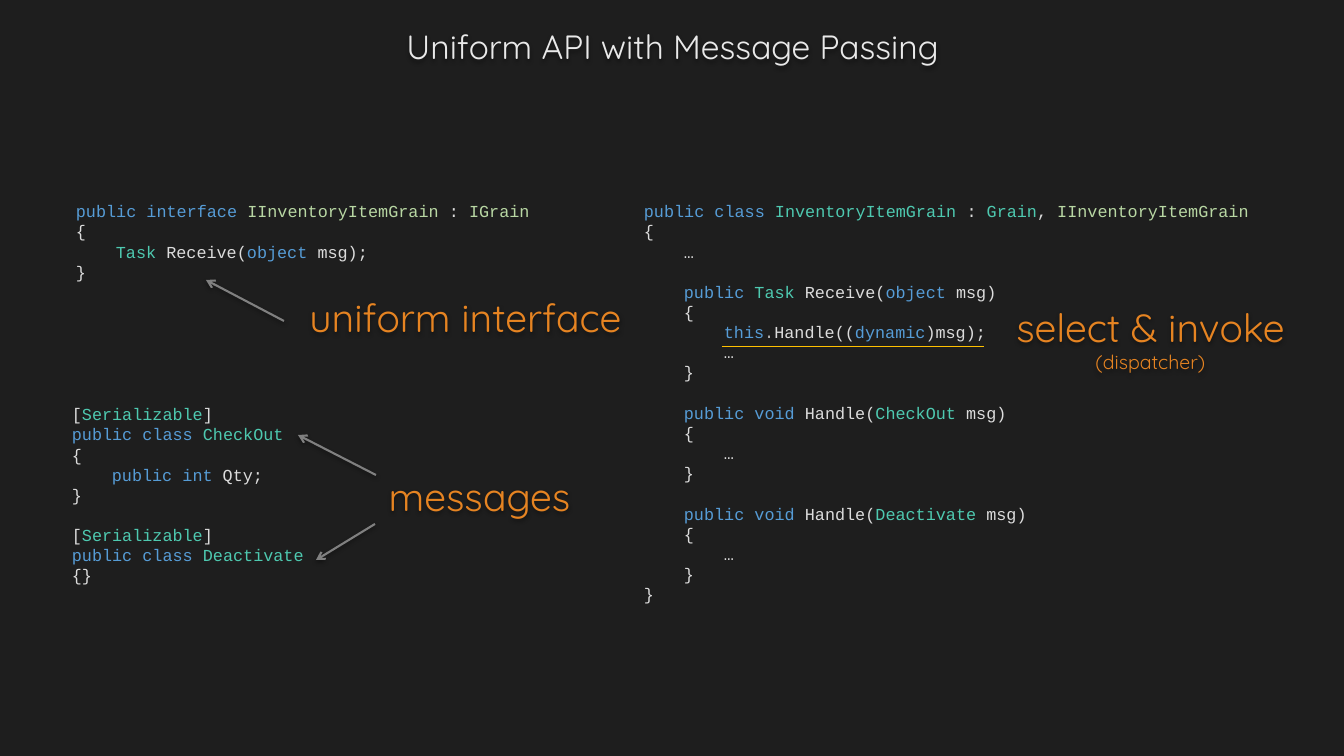
import itertools

import lxml.etree
import pptx
import pptx.dml.color
import pptx.enum.shapes
import pptx.enum.text
import pptx.oxml
import pptx.oxml.ns
import pptx.util

THEME = {
    "back": "1E1E1E", "title": "E9E9E9", "label": "E68422",
    "arrow": "808080", "rule": "FFC000",
    "plain": "DCDCDC", "dot": "B4B4B4", "key": "569CD6",
    "type": "4EC9B0", "iface": "B8D7A3",
    "sans": "Quicksand", "mono": "Courier New",
    "head pt": 24, "label pt": 28, "small pt": 14, "code pt": 12,
    "pitch pt": 14.4, "indent px": 40,
}
KINDS = {
    "key": "public interface class object this dynamic void int",
    "type": "Task Grain InventoryItemGrain Serializable CheckOut Deactivate",
    "iface": "IInventoryItemGrain IGrain",
    "dot": ".",
}
HUES = {word: THEME[kind] for kind, words in KINDS.items() for word in words.split()}
SCALE = 914400 / 100.8
Pt = pptx.util.Pt
Color = pptx.dml.color.RGBColor.from_string
A = "http://schemas.openxmlformats.org/drawingml/2006/main"


def px(*sizes):
    """Turn pixel lengths into EMU."""
    return [round(size * SCALE) for size in sizes]


def shade(shape, soft=True):
    """Give a shape a soft drop shadow, or an empty effect list."""
    list_ = lxml.etree.SubElement(shape._element.spPr, f"{{{A}}}effectLst")
    if soft:
        list_.append(pptx.oxml.parse_xml(
            f'<a:outerShdw xmlns:a="{A}" blurRad="39370" dist="20320" dir="5400000" '
            'rotWithShape="0"><a:srgbClr val="000000"><a:alpha val="38000"/>'
            '</a:srgbClr></a:outerShdw>'))


deck = pptx.Presentation()
deck.slide_width, deck.slide_height = px(1344, 756)
slide = deck.slides.add_slide(deck.slide_layouts[5])
slide.background.fill.solid()
slide.background.fill.fore_color.rgb = Color(THEME["back"])

# Title and orange labels
title = slide.shapes.title
title.left, title.top, title.width, title.height = px(387, 21, 571, 50)
labels = [(title, [("Uniform API with Message Passing", "head pt")], "title")]
for spot, lines in [
    ((375, 467, 209, 57), [("messages", "label pt")]),
    ((995, 298, 311, 82), [("select & invoke", "label pt"), ("(dispatcher)", "small pt")]),
    ((291, 288, 349, 57), [("uniform interface", "label pt")]),
]:
    labels.append((slide.shapes.add_textbox(*px(*spot)), lines, "label"))

for box, lines, hue in labels:
    frame = box.text_frame
    frame.word_wrap = False
    frame.auto_size = pptx.enum.text.MSO_AUTO_SIZE.NONE
    frame.vertical_anchor = pptx.enum.text.MSO_ANCHOR.TOP
    frame.text = "\n".join(text for text, size in lines)
    for para, (text, size) in zip(frame.paragraphs, lines):
        para.alignment = pptx.enum.text.PP_ALIGN.CENTER
        para.font.name = THEME["sans"]
        para.font.size = Pt(THEME[size])
        para.font.color.rgb = Color(THEME[hue])
    shade(box)

# Code listings: depth becomes an indent, an empty line becomes a gap
MESSAGES = """\
[Serializable]
public class CheckOut
{
    public int Qty;
}

[Serializable]
public class Deactivate
{}"""
INTERFACE = """\
public interface IInventoryItemGrain : IGrain
{
    Task Receive(object msg);
}"""
GRAIN = """\
public class InventoryItemGrain : Grain, IInventoryItemGrain
{
    …

    public Task Receive(object msg)
    {
        this.Handle((dynamic)msg);
        …
    }

    public void Handle(CheckOut msg)
    {
        …
    }

    public void Handle(Deactivate msg)
    {
        …
    }
}"""

for spot, code in [
    ((62, 399, 312, 194), MESSAGES),
    ((66, 196, 500, 92), INTERFACE),
    ((634, 196, 643, 417), GRAIN),
]:
    frame = slide.shapes.add_textbox(*px(*spot)).text_frame
    frame.word_wrap = True
    para, gap = frame.paragraphs[0], 0
    for row, line in enumerate(code.splitlines()):
        text = line.lstrip()
        if not text:
            gap = THEME["pitch pt"]
            continue
        if row:
            para = frame.add_paragraph()
        depth = (len(line) - len(text)) // 4
        para._p.get_or_add_pPr().set("marL", str(px(depth * THEME["indent px"])[0]))
        para.line_spacing = Pt(THEME["pitch pt"])
        para.space_before, gap = Pt(gap), 0
        para.font.name = THEME["mono"]
        para.font.size = Pt(THEME["code pt"])
        words = ["".join(part) for _, part in itertools.groupby(text, str.isalpha)]
        for hue, part in itertools.groupby(words, lambda word: HUES.get(word, THEME["plain"])):
            run = para.add_run()
            run.text = "".join(part)
            run.font.color.rgb = Color(hue)

# Arrows point at their first end; the rule underlines the dispatch call
for ends, hue, width in [
    ((298, 435, 376, 475), "arrow", 1.5),
    ((316, 560, 375, 524), "arrow", 1.5),
    ((206, 280, 284, 321), "arrow", 1.5),
    ((722, 347, 984, 347), "rule", 0.75),
]:
    link = slide.shapes.add_connector(pptx.enum.shapes.MSO_CONNECTOR.STRAIGHT, *px(*ends))
    link.line.color.rgb = Color(THEME[hue])
    link.line.width = Pt(width)
    if hue == "arrow":
        lxml.etree.SubElement(link.line._get_or_add_ln(), f"{{{A}}}headEnd", type="arrow")
    shade(link, hue == "arrow")

deck.save("out.pptx")
